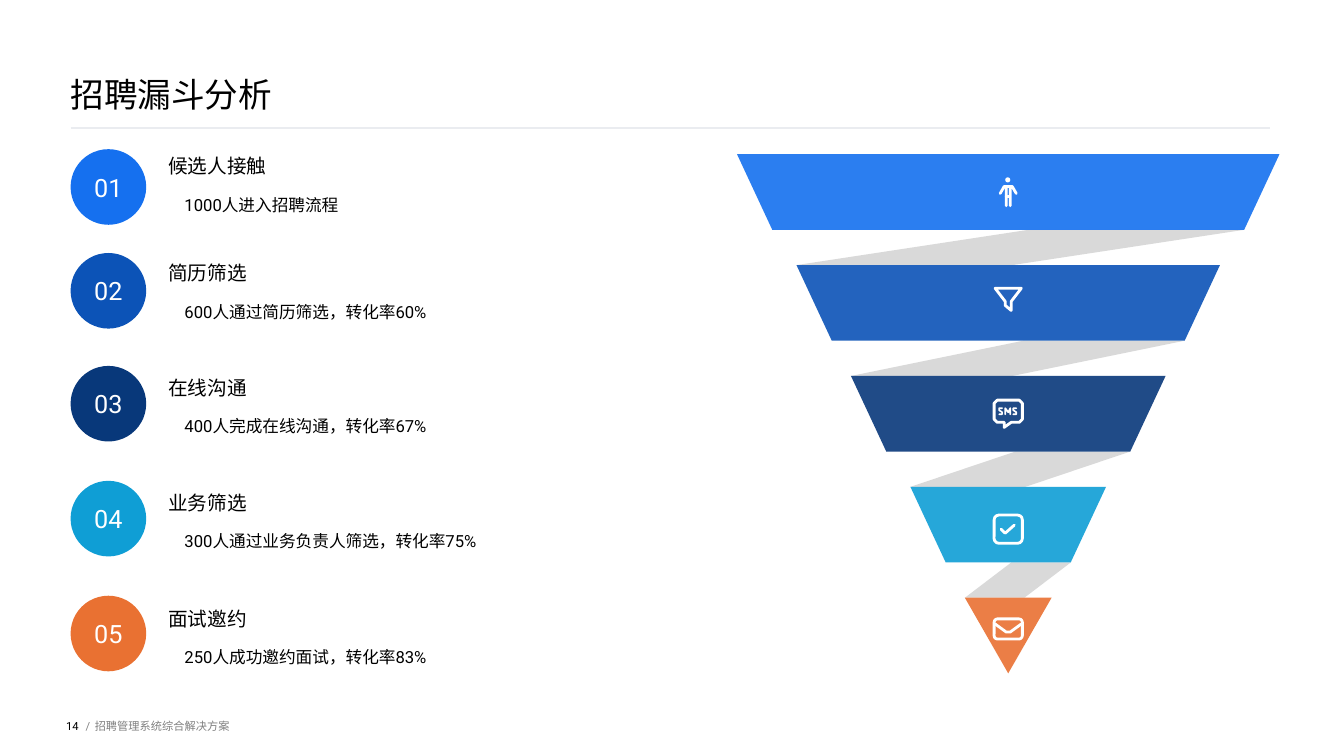
from dataclasses import dataclass
from typing import NamedTuple

from lxml.etree import SubElement
from pptx import Presentation
from pptx.dml.color import RGBColor
from pptx.enum.shapes import MSO_CONNECTOR, MSO_SHAPE as Preset
from pptx.enum.text import MSO_ANCHOR as Anchor, PP_ALIGN as Align
from pptx.oxml.ns import qn
from pptx.util import Inches, Pt

FONT = "Roboto"
BLACK, WHITE, GREY = "000000", "FFFFFF", "808080"
RIBBON, RULE = "D9D9D9", "EAECF0"
MARGIN = 0.7
BADGE_SIZE = 0.75
FUNNEL_CENTER, FUNNEL_TOP = 10, 1.53
TIER_PITCH, TIER_HEIGHT, TIER_INSET = 1.1, 0.75, 0.35
ICON_LINE = 2
LETTER_LINE = 1.2

Points = list[tuple[float, float]]


@dataclass
class Stage:
    heading: str
    detail: str
    color: str
    badge_top: float
    text_top: float
    half_width: float
    ribbon_width: float = 0


class Stroke(NamedTuple):
    points: Points
    closed: bool = False
    weight: float = ICON_LINE


class Frame(NamedTuple):
    left: float
    top: float
    width: float
    height: float


STAGES = [
    Stage("候选人接触", "1000人进入招聘流程", "1570EF", 1.48, 1.53, 2.69, 2.14),
    Stage("简历筛选", "600人通过简历筛选，转化率60%", "0C53B7", 2.51, 2.59, 2.1, 1.6),
    Stage("在线沟通", "400人完成在线沟通，转化率67%", "08387A", 3.63, 3.73, 1.56, 1.14),
    Stage("业务筛选", "300人通过业务负责人筛选，转化率75%", "0F9ED5", 4.77, 4.87, 0.97, 0.59),
    Stage("面试邀约", "250人成功邀约面试，转化率83%", "E97132", 5.91, 6.02, 0.43),
]

PERSON_HEAD = Frame(9.97, 1.76, 0.05, 0.05)
ICON_FRAMES = [Frame(9.86, 5.11, 0.28, 0.28), Frame(9.86, 6.14, 0.28, 0.2)]
LETTER_S = [(9.94, 4.05), (9.91, 4.05), (9.91, 4.07),
            (9.94, 4.09), (9.94, 4.11), (9.91, 4.11)]
ICON_STROKES = [
    # Person: left and right halves
    Stroke([(9.92, 1.92), (9.96, 1.85), (10.02, 1.85), (9.98, 1.85), (9.98, 2.04)]),
    Stroke([(10.08, 1.92), (10.04, 1.85), (10.02, 1.85),
            (10.02, 2.04), (10.02, 1.95), (9.98, 1.95)]),
    # Filter
    Stroke([(9.87, 2.86), (10.13, 2.86), (10.03, 2.99),
            (10.03, 3.08), (9.97, 3.03), (9.97, 2.99)], closed=True),
    # Message bubble and its letters
    Stroke([(9.89, 3.97), (10.11, 3.97), (10.14, 4), (10.14, 4.16), (10.11, 4.19),
            (10.03, 4.19), (9.96, 4.24), (9.96, 4.19), (9.89, 4.19),
            (9.86, 4.16), (9.86, 4)], closed=True),
    Stroke(LETTER_S, weight=LETTER_LINE),
    Stroke([(9.97, 4.11), (9.97, 4.05), (10, 4.09), (10.02, 4.05), (10.02, 4.11)],
           weight=LETTER_LINE),
    Stroke([(x + 0.14, y) for x, y in LETTER_S], weight=LETTER_LINE),
    # Tick and envelope flap
    Stroke([(9.93, 5.25), (9.97, 5.29), (10.06, 5.21)]),
    Stroke([(9.87, 6.19), (9.98, 6.27), (10.02, 6.27), (10.13, 6.19)]),
]


def rgb(color: str) -> RGBColor:
    return RGBColor.from_string(color)


def paint(shape, color: str, opacity: int = 100) -> None:
    shape.shadow.inherit = False
    shape.line.fill.background()
    shape.fill.solid()
    shape.fill.fore_color.rgb = rgb(color)
    if opacity < 100:
        color_xml = next(shape.fill._xPr.iter(qn("a:srgbClr")))
        SubElement(color_xml, qn("a:alpha"), val=str(opacity * 1000))


def outline(shape, weight: float) -> None:
    """Leave only a white line with round ends and corners."""
    shape.shadow.inherit = False
    shape.fill.background()
    shape.line.color.rgb = rgb(WHITE)
    shape.line.width = Pt(weight)
    line_xml = shape._element.spPr.find(qn("a:ln"))
    line_xml.set("cap", "rnd")
    SubElement(line_xml, qn("a:round"))


def add_outline_points(slide, points: Points, closed: bool = True):
    start, *rest = [(Inches(x), Inches(y)) for x, y in points]
    builder = slide.shapes.build_freeform(*start)
    builder.add_line_segments(rest, close=closed)
    return builder.convert_to_shape()


def add_preset(slide, preset: Preset, frame: Frame):
    return slide.shapes.add_shape(preset, *map(Inches, frame))


def set_frame(shape, anchor: Anchor) -> None:
    frame = shape.text_frame
    frame.word_wrap = True
    frame.vertical_anchor = anchor
    frame.margin_left = frame.margin_right = frame.margin_top = frame.margin_bottom = 0


def format_paragraph(paragraph, size: float, color: str, align: Align = Align.LEFT) -> None:
    paragraph.alignment = align
    for run in paragraph.runs:
        run.font.name = FONT
        run.font.size = Pt(size)
        run.font.color.rgb = rgb(color)


def write(shape, text: str, size: float, color: str,
          align: Align = Align.LEFT, anchor: Anchor = Anchor.MIDDLE) -> None:
    set_frame(shape, anchor)
    shape.text_frame.text = text
    format_paragraph(shape.text_frame.paragraphs[0], size, color, align)


def add_header(slide) -> None:
    title = slide.shapes.title
    title.left, title.top = Inches(MARGIN), 0
    title.width, title.height = Inches(11.94), Inches(1.13)
    write(title, "招聘漏斗分析", 24, BLACK, anchor=Anchor.BOTTOM)
    rule = slide.shapes.add_connector(
        MSO_CONNECTOR.STRAIGHT, Inches(MARGIN), Inches(1.27), Inches(12.6), Inches(1.27))
    rule.line.color.rgb = rgb(RULE)
    rule.line.width = Pt(2)
    SubElement(rule._element.spPr, qn("a:effectLst"))


def add_footer(slide) -> None:
    for left, width, text, color, align in (
        (0.47, 0.31, "14", BLACK, Align.RIGHT),
        (0.85, 0.09, "/", GREY, Align.LEFT),
        (0.94, 7.66, "招聘管理系统综合解决方案", GREY, Align.LEFT),
    ):
        box = slide.shapes.add_textbox(Inches(left), Inches(6.9), Inches(width), Inches(0.6))
        write(box, text, 8, color, align)


def add_funnel(slide) -> None:
    tops = [FUNNEL_TOP + TIER_PITCH * i for i in range(len(STAGES))]
    for stage, following, top in zip(STAGES, STAGES[1:], tops):
        right = FUNNEL_CENTER + stage.half_width - TIER_INSET
        left = FUNNEL_CENTER - following.half_width
        upper, lower = top + TIER_HEIGHT, top + TIER_PITCH
        ribbon = add_outline_points(slide, [
            (right - stage.ribbon_width, upper), (right, upper),
            (left + stage.ribbon_width, lower), (left, lower)])
        paint(ribbon, RIBBON)
    for stage, top in zip(STAGES, tops):
        half = stage.half_width
        base = 0 if stage is STAGES[-1] else half - TIER_INSET
        tier = add_outline_points(slide, [
            (FUNNEL_CENTER - half, top), (FUNNEL_CENTER + half, top),
            (FUNNEL_CENTER + base, top + TIER_HEIGHT),
            (FUNNEL_CENTER - base, top + TIER_HEIGHT)])
        paint(tier, stage.color, opacity=90)


def add_icons(slide) -> None:
    paint(add_preset(slide, Preset.OVAL, PERSON_HEAD), WHITE)
    for frame in ICON_FRAMES:
        outline(add_preset(slide, Preset.ROUNDED_RECTANGLE, frame), ICON_LINE)
    for stroke in ICON_STROKES:
        outline(add_outline_points(slide, stroke.points, stroke.closed), stroke.weight)


def add_stage(slide, number: int, stage: Stage) -> None:
    badge = add_preset(slide, Preset.OVAL,
                       Frame(MARGIN, stage.badge_top, BADGE_SIZE, BADGE_SIZE))
    paint(badge, stage.color)
    write(badge, f"{number:02}", 18, WHITE, Align.CENTER)

    box = slide.shapes.add_textbox(
        Inches(1.67), Inches(stage.text_top), Inches(5.5), Inches(0.75))
    write(box, stage.heading, 14, BLACK, anchor=Anchor.TOP)
    detail = box.text_frame.add_paragraph()
    detail.text = stage.detail
    detail.space_before = Pt(12)
    detail._p.get_or_add_pPr().set("marL", str(Inches(0.16)))
    format_paragraph(detail, 11.9, BLACK)


def main() -> None:
    deck = Presentation()
    deck.slide_width, deck.slide_height = Inches(13.33), Inches(7.5)
    slide = deck.slides.add_slide(deck.slide_layouts[5])
    add_header(slide)
    add_funnel(slide)
    add_icons(slide)
    for number, stage in enumerate(STAGES, start=1):
        add_stage(slide, number, stage)
    add_footer(slide)
    deck.save("out.pptx")


if __name__ == "__main__":
    main()
